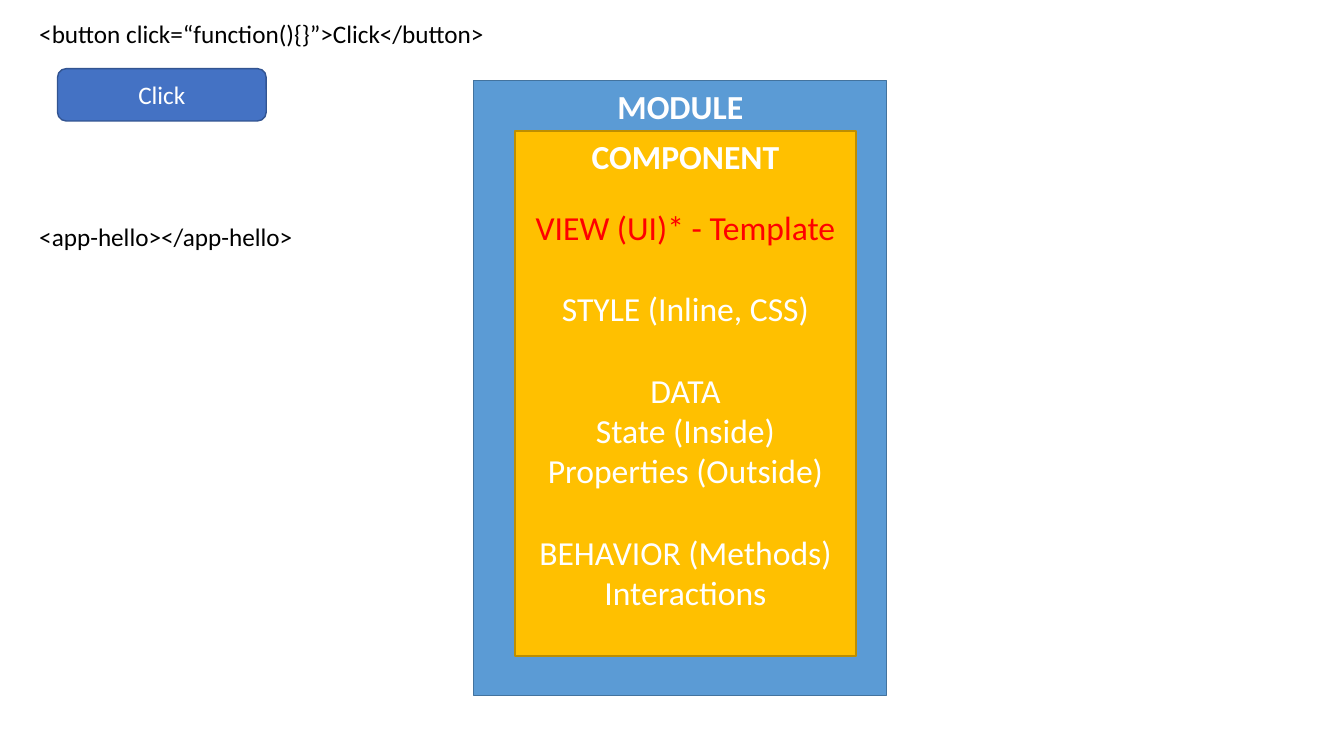
from pptx import Presentation
from pptx.dml.color import RGBColor
from pptx.enum.shapes import MSO_SHAPE as Preset
from pptx.enum.text import MSO_ANCHOR as Anchor, MSO_AUTO_SIZE as AutoSize, PP_ALIGN as Align
from pptx.util import Cm, Pt

COLORS = {
    "module": "5B9BD5",
    "module_line": "43739E",
    "component": "FFC000",
    "component_line": "BD8E00",
    "button": "4472C4",
    "button_line": "325491",
    "white": "FFFFFF",
    "black": "000000",
    "red": "FF0000",
}
FONT = "Calibri"
SMALL_GAP = 22
LARGE_GAP = 29.25

COMPONENT_PARTS = [
    ("VIEW (UI)* - Template", "red", SMALL_GAP),
    ("STYLE (Inline, CSS)", "white", LARGE_GAP),
    ("DATA", "white", LARGE_GAP),
    ("State (Inside)", "white", 0),
    ("Properties (Outside)", "white", 0),
    ("BEHAVIOR (Methods)", "white", LARGE_GAP),
    ("Interactions", "white", 0),
]


def color(name):
    return RGBColor.from_string(COLORS[name])


def write(paragraph, text, size=24, fill="white", bold=False, align=Align.CENTER, before=0):
    paragraph.alignment = align
    paragraph.space_before = Pt(before)
    run = paragraph.add_run()
    run.text = text
    run.font.name = FONT
    run.font.size = Pt(size)
    run.font.bold = bold
    run.font.color.rgb = color(fill)


def add_box(slide, name, left, top, width, height, preset=Preset.RECTANGLE, anchor=Anchor.TOP):
    shape = slide.shapes.add_shape(preset, Cm(left), Cm(top), Cm(width), Cm(height))
    shape.shadow.inherit = False
    shape.fill.solid()
    shape.fill.fore_color.rgb = color(name)
    shape.line.color.rgb = color(name + "_line")
    shape.line.width = Pt(1)
    shape.text_frame.word_wrap = True
    shape.text_frame.vertical_anchor = anchor
    return shape.text_frame


def add_code(slide, text, top, width):
    frame = slide.shapes.add_textbox(Cm(0.74), Cm(top), Cm(width), Cm(1.03)).text_frame
    frame.word_wrap = False
    frame.auto_size = AutoSize.SHAPE_TO_FIT_TEXT
    write(frame.paragraphs[0], text, size=18, fill="black", align=Align.LEFT)


def add_module(slide):
    module = add_box(slide, "module", 11.94, 2.03, 10.41, 15.49)
    write(module.paragraphs[0], "MODULE", bold=True)

    component = add_box(slide, "component", 12.98, 3.3, 8.59, 13.23)
    write(component.paragraphs[0], "COMPONENT", bold=True)
    for text, fill, gap in COMPONENT_PARTS:
        write(component.add_paragraph(), text, fill=fill, before=gap)


def add_button(slide):
    button = add_box(slide, "button", 1.45, 1.73, 5.26, 1.32, Preset.ROUNDED_RECTANGLE, Anchor.MIDDLE)
    write(button.paragraphs[0], "Click", size=18)


def main():
    presentation = Presentation()
    presentation.slide_width = Cm(33.87)
    presentation.slide_height = Cm(19.05)
    slide = presentation.slides.add_slide(presentation.slide_layouts[6])
    add_module(slide)
    add_button(slide)
    add_code(slide, "<button click=“function(){}”>Click</button>", 0.33, 11.89)
    add_code(slide, "<app-hello></app-hello>", 5.44, 6.99)
    presentation.save("out.pptx")


if __name__ == "__main__":
    main()
